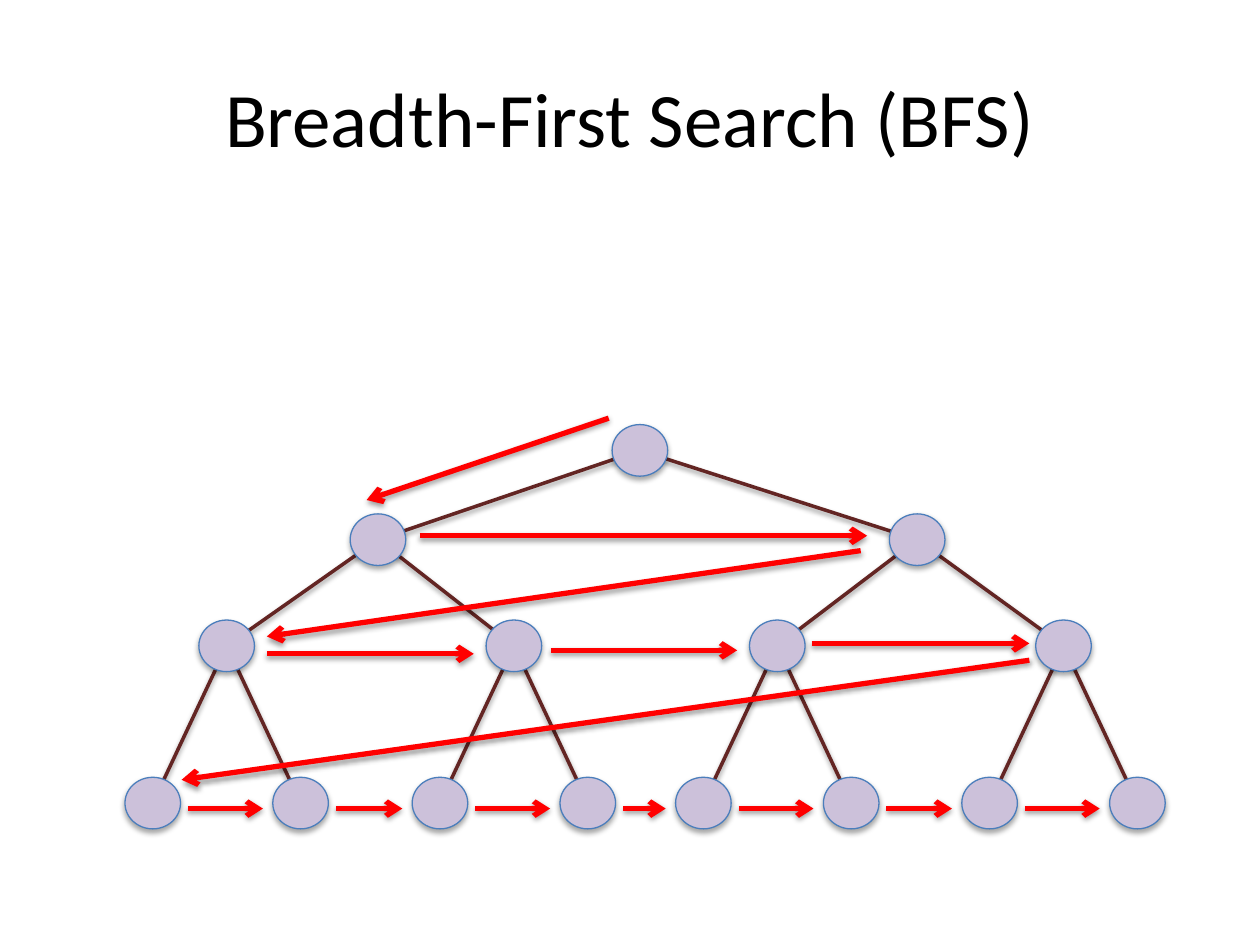
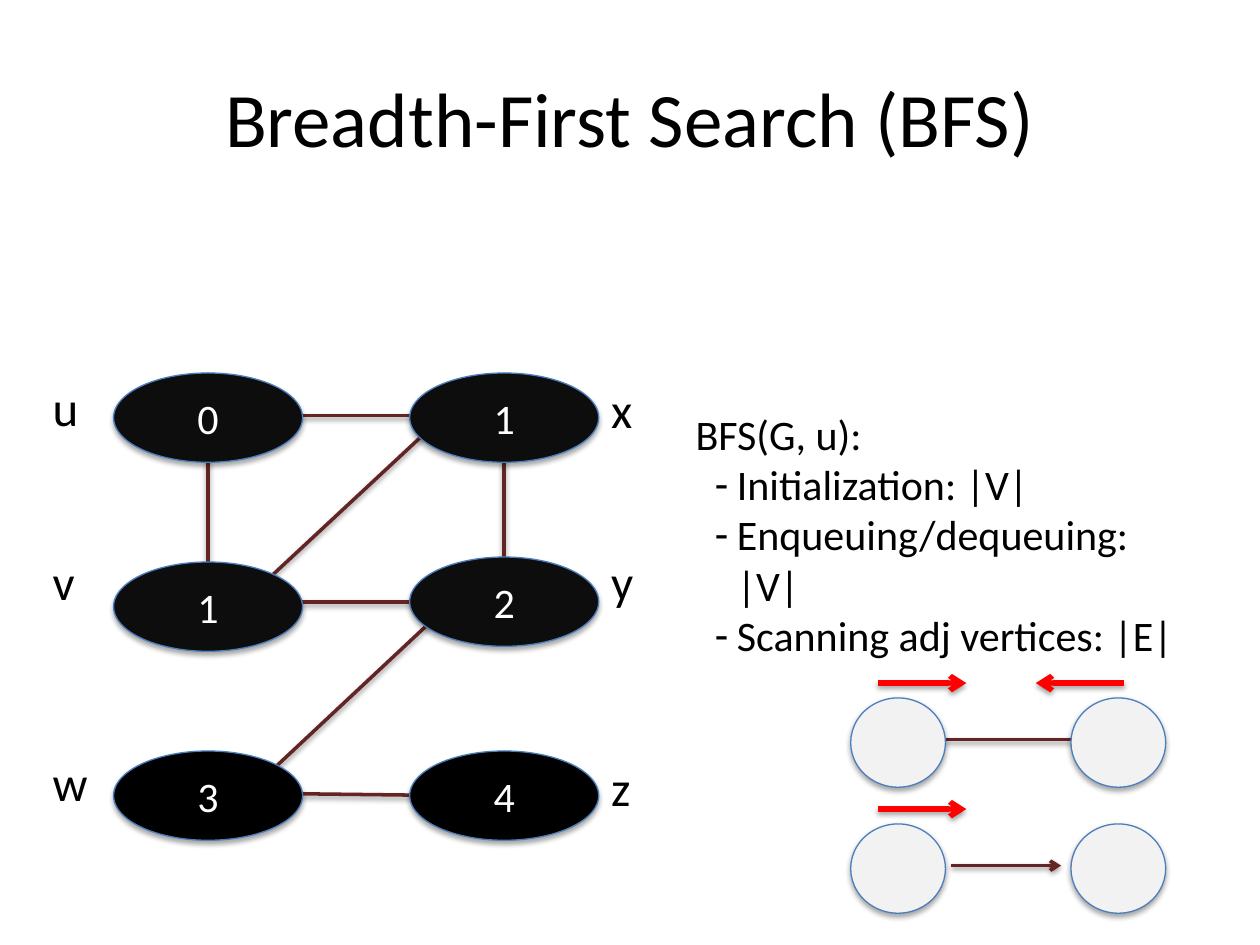
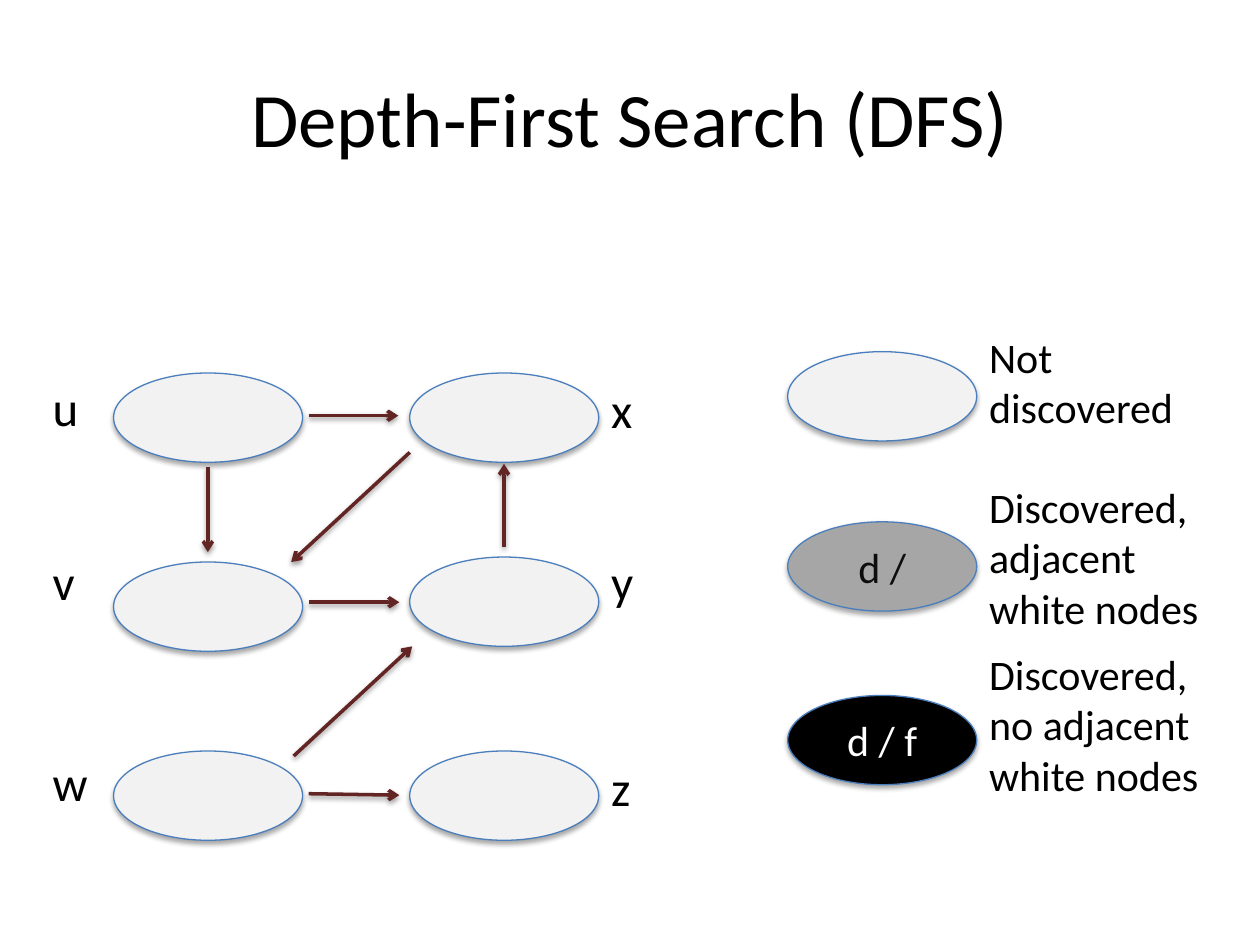
from lxml import etree
from pptx import Presentation
from pptx.dml.color import RGBColor
from pptx.enum.shapes import MSO_CONNECTOR, MSO_SHAPE
from pptx.enum.text import MSO_ANCHOR, MSO_AUTO_SIZE, PP_ALIGN
from pptx.oxml.ns import qn
from pptx.util import Cm, Pt

ELLIPSE = MSO_SHAPE.OVAL
STRAIGHT = MSO_CONNECTOR.STRAIGHT
LEFT, CENTER = PP_ALIGN.LEFT, PP_ALIGN.CENTER
TOP, MIDDLE = MSO_ANCHOR.TOP, MSO_ANCHOR.MIDDLE
NO_FIT = MSO_AUTO_SIZE.NONE

FONT = "Calibri"
COLORS = {
    "text": "000000", "light_text": "FFFFFF", "dark_text": "0D0D0D",
    "outline": "4B7EBC", "edge": "632523", "visit": "FF0000",
    "tree": "CCC1DA", "white": "F2F2F2", "gray": "A6A6A6",
    "near_black": "0D0D0D", "black": "000000", "shadow": "000000",
}
TITLE_ONLY, TITLE_AND_BODY = 5, 1

# All positions and sizes below are in centimetres
TREE_NODE = (1.12, 1.04)
WIDE_NODE = (3.81, 1.8)
ROUND_NODE = (1.91, 1.8)

# Vertex: node left, node top, label left, label top
VERTICES = {
    "u": (2.29, 7.52, 0.81, 7.49),
    "x": (8.26, 7.52, 12.07, 7.52),
    "v": (2.29, 11.33, 0.81, 11.0),
    "y": (8.26, 11.23, 12.07, 11.0),
    "w": (2.29, 15.14, 0.81, 15.04),
    "z": (8.26, 15.14, 12.07, 15.14),
}


def rgb(name):
    return RGBColor.from_string(COLORS[name])


def write(frame, lines, size=24, color="text", align=LEFT, anchor=TOP):
    """Fill a text frame, one paragraph for each line."""
    frame.word_wrap = True
    frame.auto_size = NO_FIT
    frame.vertical_anchor = anchor
    for index, line in enumerate(lines):
        paragraph = frame.paragraphs[0] if index == 0 else frame.add_paragraph()
        paragraph.alignment = align
        run = paragraph.add_run()
        run.text = line
        run.font.name = FONT
        run.font.size = Pt(size)
        run.font.color.rgb = rgb(color)


def place(shape, left, top, width, height):
    shape.left, shape.top = Cm(left), Cm(top)
    shape.width, shape.height = Cm(width), Cm(height)


def add_soft_shadow(properties, distance, opacity):
    effects = properties.find(qn("a:effectLst"))
    if effects is None:
        effects = etree.SubElement(properties, qn("a:effectLst"))
    shadow = etree.SubElement(effects, qn("a:outerShdw"), blurRad=str(Pt(3.1)),
                              dist=str(Pt(distance)), dir="5400000", rotWithShape="0")
    tint = etree.SubElement(shadow, qn("a:srgbClr"), val=COLORS["shadow"])
    etree.SubElement(tint, qn("a:alpha"), val=str(opacity * 1000))


def add_titled_slide(deck, title, layout=TITLE_ONLY):
    slide = deck.slides.add_slide(deck.slide_layouts[layout])
    place(slide.shapes.title, 1.27, 0.76, 22.86, 3.18)
    write(slide.shapes.title.text_frame, [title], size=44, align=CENTER, anchor=MIDDLE)
    return slide


def add_label(slide, lines, left, top, width, height, size=24):
    label = slide.shapes.add_textbox(Cm(left), Cm(top), Cm(width), Cm(height))
    write(label.text_frame, lines, size=size)


def add_node(slide, left, top, size, fill, value="", color="light_text"):
    width, height = size
    node = slide.shapes.add_shape(ELLIPSE, Cm(left), Cm(top), Cm(width), Cm(height))
    node.fill.solid()
    node.fill.fore_color.rgb = rgb(fill)
    node.line.color.rgb = rgb("outline")
    node.line.width = Pt(0.75)
    node.shadow.inherit = False
    add_soft_shadow(node._element.spPr, 1.8, 35)
    if value:
        write(node.text_frame, [value], color=color, align=CENTER, anchor=MIDDLE)


def add_edge(slide, x1, y1, x2, y2, color="edge", weight=2, arrow=False):
    edge = slide.shapes.add_connector(STRAIGHT, Cm(x1), Cm(y1), Cm(x2), Cm(y2))
    edge.line.color.rgb = rgb(color)
    edge.line.width = Pt(weight)
    properties = edge._element.spPr
    if arrow:
        etree.SubElement(properties.find(qn("a:ln")), qn("a:tailEnd"), type="arrow")
    add_soft_shadow(properties, 1.6, 38)


def add_visit(slide, x1, y1, x2, y2):
    """Red arrow showing the order in which nodes are visited."""
    add_edge(slide, x1, y1, x2, y2, color="visit", weight=3, arrow=True)


def add_vertices(slide, fills, values):
    for name, (left, top, label_left, label_top) in VERTICES.items():
        add_node(slide, left, top, WIDE_NODE, fills.get(name, "white"), values.get(name, ""))
        add_label(slide, [name], label_left, label_top, 1.27, 1.45, size=28)


def indent(paragraph, margin, hanging, dash):
    properties = paragraph._p.get_or_add_pPr()
    properties.set("marL", str(Cm(margin)))
    properties.set("indent", str(-Cm(hanging)))
    paragraph.space_before = Pt(0)
    if dash:
        etree.SubElement(properties, qn("a:buChar"), char="-")
    else:
        etree.SubElement(properties, qn("a:buNone"))


def build_tree_slide(deck):
    slide = add_titled_slide(deck, "Breadth-First Search (BFS)")
    inner = [4.01, 9.8, 15.11, 20.88]
    leaves = [left + shift for left in inner for shift in (-1.49, 1.49)]
    levels = [(8.56, [12.34]), (10.36, [7.06, 17.93]), (12.5, inner), (15.67, leaves)]
    half_width, half_height = TREE_NODE[0] / 2, TREE_NODE[1] / 2

    # Edges run from centre to centre, behind the nodes
    for (parent_top, parents), (child_top, children) in zip(levels, levels[1:]):
        for index, left in enumerate(children):
            add_edge(slide, parents[index // 2] + half_width, parent_top + half_height,
                     left + half_width, child_top + half_height)
    for top, lefts in levels:
        for left in lefts:
            add_node(slide, left, top, TREE_NODE, "tree")

    # Visiting order, level by level
    for visit in [(12.27, 8.43, 7.39, 10.08), (8.46, 10.8, 17.48, 10.8),
                  (17.35, 11.1, 5.38, 12.83), (5.38, 13.18, 9.55, 13.18),
                  (11.1, 13.11, 14.86, 13.11), (16.36, 12.97, 20.75, 12.97),
                  (20.75, 13.31, 3.66, 15.72)]:
        add_visit(slide, *visit)
    for left, following in zip(leaves, leaves[1:]):
        add_visit(slide, left + 1.27, 16.3, following - 0.2, 16.3)


def build_cost_slide(deck):
    slide = add_titled_slide(deck, "Breadth-First Search (BFS)", TITLE_AND_BODY)

    # Graph with distances from u
    for edge in [(8.89, 12.34, 5.33, 15.67), (8.86, 8.46, 5.28, 11.79),
                 (10.16, 9.09, 10.16, 11.3), (4.19, 9.09, 4.19, 11.48),
                 (5.92, 16.0, 8.46, 16.03), (5.92, 12.14, 8.46, 12.14),
                 (5.97, 8.38, 8.33, 8.38)]:
        add_edge(slide, *edge)
    fills = dict.fromkeys("uxvy", "near_black") | dict.fromkeys("wz", "black")
    add_vertices(slide, fills, dict(zip("uxvywz", "011234")))

    # Running time of each step
    steps = slide.placeholders[1]
    place(steps, 13.77, 8.1, 11.43, 5.38)
    write(steps.text_frame, ["BFS(G, u):", "Initialization: |V|", "Enqueuing/dequeuing:",
                             "|V|", "Scanning adj vertices: |E|"])
    layout = [(0, 0, False), (0.83, 0.45, True), (0.83, 0.45, True),
              (0.83, 0, False), (0.83, 0.45, True)]
    for paragraph, (margin, hanging, dash) in zip(steps.text_frame.paragraphs, layout):
        indent(paragraph, margin, hanging, dash)

    # Undirected edge is scanned twice, directed edge once
    for top, directed in [(14.07, False), (16.61, True)]:
        start, end = (19.18, 21.39) if directed else (17.91, 22.66)
        add_edge(slide, start, top + 0.84, end, top + 0.84, arrow=directed)
        for left in (17.15, 21.59):
            add_node(slide, left, top, ROUND_NODE, "white")
        add_visit(slide, 17.7, top - 0.3, 19.48, top - 0.3)
        if not directed:
            add_visit(slide, 22.66, top - 0.3, 20.88, top - 0.3)


def build_dfs_slide(deck):
    slide = add_titled_slide(deck, "Depth-First Search (DFS)")
    add_vertices(slide, {}, {})
    for edge in [(4.19, 9.42, 4.19, 11.13), (6.22, 8.38, 8.03, 8.38),
                 (6.22, 12.14, 8.05, 12.14), (6.22, 16.0, 8.05, 16.03),
                 (10.16, 11.02, 10.16, 9.35), (8.26, 9.12, 5.87, 11.33),
                 (5.92, 15.24, 8.31, 13.03)]:
        add_edge(slide, *edge, arrow=True)

    # Legend of node states
    states = [
        (7.09, "white", "", "text", 6.55, 2.31, ["Not discovered"]),
        (10.52, "gray", "d /", "dark_text", 9.58, 3.33,
         ["Discovered,", "adjacent white nodes"]),
        (14.02, "black", "d / f", "light_text", 12.95, 3.33,
         ["Discovered,", "no adjacent white nodes"]),
    ]
    for top, fill, value, color, label_top, label_height, meaning in states:
        add_node(slide, 15.88, top, WIDE_NODE, fill, value, color)
        add_label(slide, meaning, 19.69, label_top, 5.08, label_height)


def main():
    deck = Presentation()
    deck.slide_width, deck.slide_height = Cm(25.4), Cm(19.05)
    build_tree_slide(deck)
    build_cost_slide(deck)
    build_dfs_slide(deck)
    deck.save("out.pptx")


if __name__ == "__main__":
    main()
